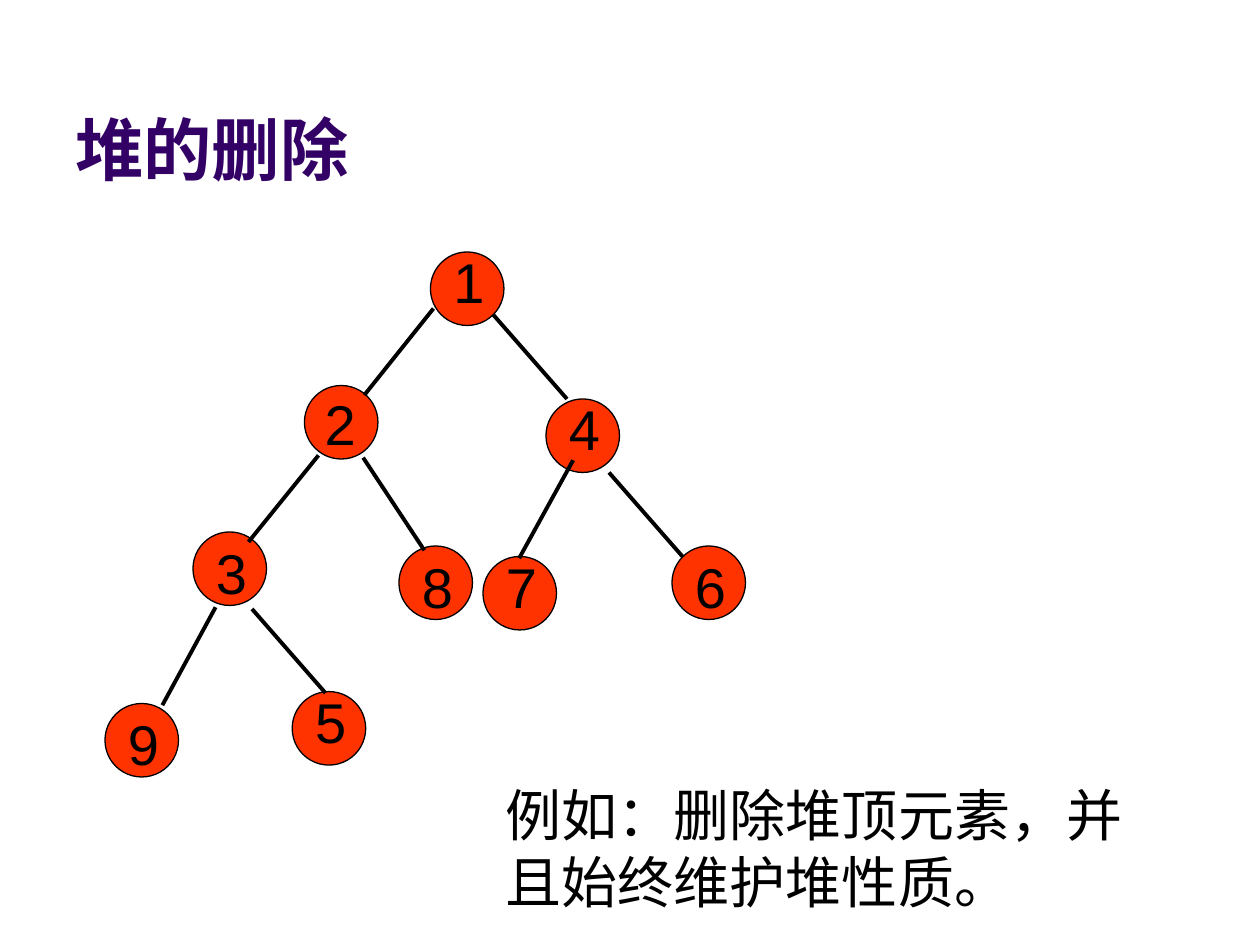
"""Build a slide showing a binary heap before its top element is deleted."""
from dataclasses import dataclass

from pptx import Presentation
from pptx.dml.color import RGBColor
from pptx.enum.shapes import MSO_CONNECTOR, MSO_SHAPE
from pptx.enum.text import MSO_ANCHOR
from pptx.oxml.ns import qn
from pptx.util import Pt
from lxml import etree

ELLIPSE = MSO_SHAPE.OVAL
STRAIGHT = MSO_CONNECTOR.STRAIGHT
TOP, BOTTOM = MSO_ANCHOR.TOP, MSO_ANCHOR.BOTTOM


@dataclass(frozen=True)
class Theme:
    font: str = "Arial"
    title_color: RGBColor = RGBColor(0x33, 0x00, 0x66)
    ink: RGBColor = RGBColor(0x00, 0x00, 0x00)
    node_fill: RGBColor = RGBColor(0xFF, 0x33, 0x00)
    title_size: float = 39
    body_size: float = 32
    outline: float = 0.75
    edge_width: float = 2.25
    node_size: float = 42
    label_width: float = 30
    label_height: float = 46


@dataclass(frozen=True)
class Node:
    value: int
    left: float
    top: float
    label_left: float = 6
    label_top: float = 0


@dataclass(frozen=True)
class Edge:
    start_x: float
    start_y: float
    end_x: float
    end_y: float


THEME = Theme()

NODES = [
    Node(1, 246, 144, label_top=-6),
    Node(2, 174, 220.3, label_left=4.5, label_top=-1.5),
    Node(4, 312, 228, label_top=-6),
    Node(3, 110.3, 304),
    Node(8, 228, 312),
    Node(7, 276, 318, label_top=-6),
    Node(6, 384, 312),
    Node(9, 60, 402),
    Node(5, 167, 395.2, label_top=-6),
]

EDGES = [
    Edge(247.7, 176.3, 208.2, 225.8),
    Edge(282, 180, 324, 228),
    Edge(182, 260.2, 142, 309.7),
    Edge(207.5, 261.5, 242.5, 314.5),
    Edge(327.5, 263, 296.7, 319),
    Edge(348, 270, 390, 318),
    Edge(123.2, 347, 92.8, 403),
    Edge(144, 348, 186, 396),
]


def add_text(slide, text: str, left: float, top: float, width: float, height: float, *,
             size: float = THEME.body_size, color: RGBColor = THEME.ink,
             bold: bool = False, anchor=TOP) -> None:
    frame = slide.shapes.add_textbox(Pt(left), Pt(top), Pt(width), Pt(height)).text_frame
    frame.word_wrap = True
    frame.vertical_anchor = anchor
    frame.text = text
    for paragraph in frame.paragraphs:
        for run in paragraph.runs:
            run.font.name = THEME.font
            run.font.size = Pt(size)
            run.font.bold = bold
            run.font.color.rgb = color


def add_circle(slide, node: Node) -> None:
    size = Pt(THEME.node_size)
    shape = slide.shapes.add_shape(ELLIPSE, Pt(node.left), Pt(node.top), size, size)
    shape.shadow.inherit = False
    shape.fill.solid()
    shape.fill.fore_color.rgb = THEME.node_fill
    shape.line.color.rgb = THEME.ink
    shape.line.width = Pt(THEME.outline)


def add_edge(slide, edge: Edge) -> None:
    connector = slide.shapes.add_connector(
        STRAIGHT, Pt(edge.start_x), Pt(edge.start_y), Pt(edge.end_x), Pt(edge.end_y))
    connector.line.color.rgb = THEME.ink
    connector.line.width = Pt(THEME.edge_width)
    etree.SubElement(connector._element.spPr, qn("a:effectLst"))


def add_label(slide, node: Node) -> None:
    add_text(slide, str(node.value), node.left + node.label_left, node.top + node.label_top,
             THEME.label_width, THEME.label_height)


def main() -> None:
    presentation = Presentation()
    presentation.slide_width, presentation.slide_height = Pt(720), Pt(540)
    slide = presentation.slides.add_slide(presentation.slide_layouts[6])

    add_text(slide, "堆的删除", 36, 9.5, 594, 102, size=THEME.title_size,
             color=THEME.title_color, bold=True, anchor=BOTTOM)
    for node in NODES:
        add_circle(slide, node)
    for edge in EDGES:
        add_edge(slide, edge)
    for node in NODES:
        add_label(slide, node)
    add_text(slide, "例如：删除堆顶元素，并\n且始终维护堆性质。", 282, 442.3, 370, 84)

    presentation.save("out.pptx")


if __name__ == "__main__":
    main()
